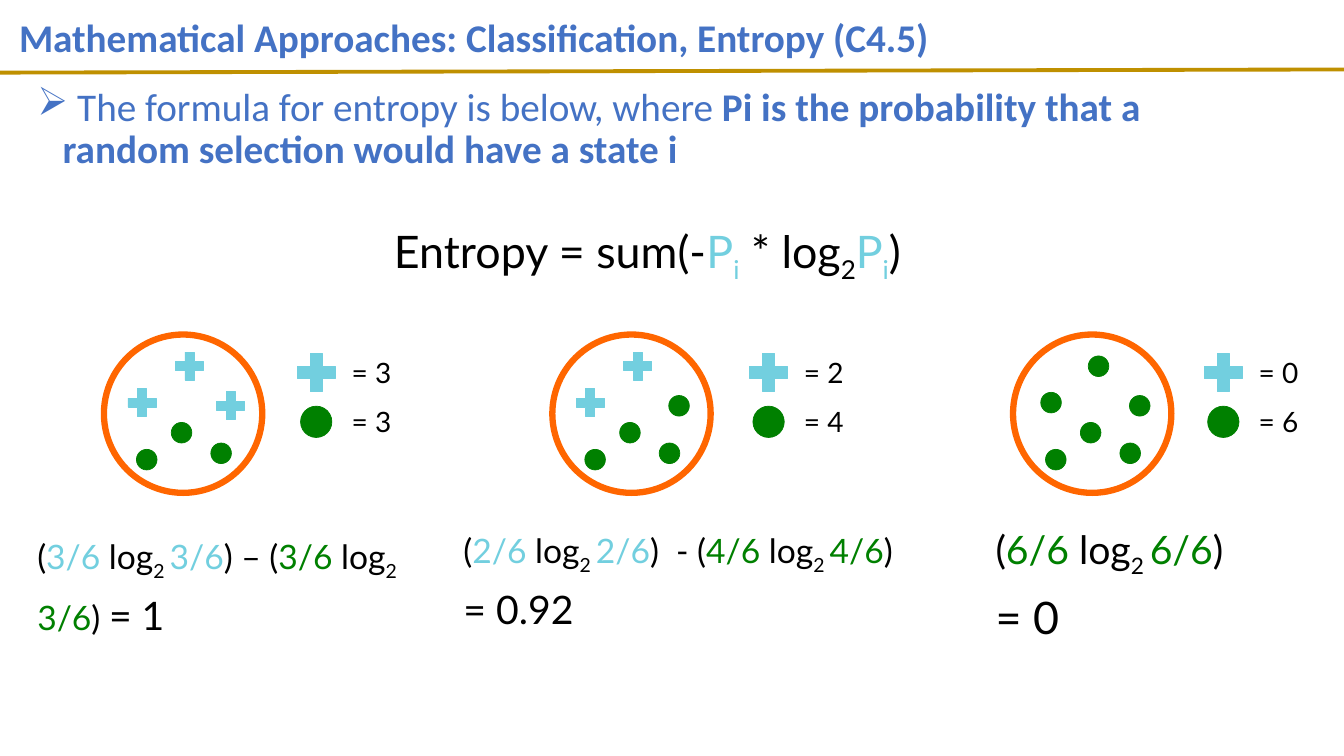
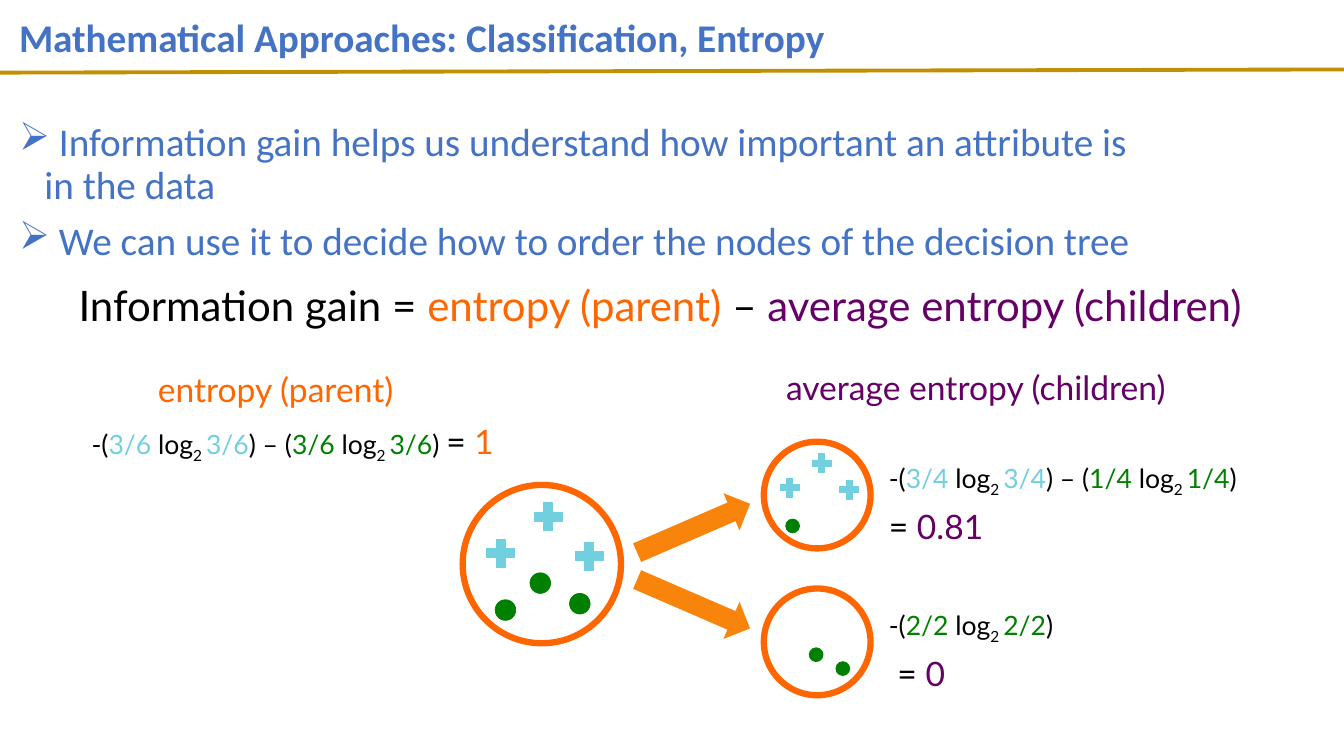
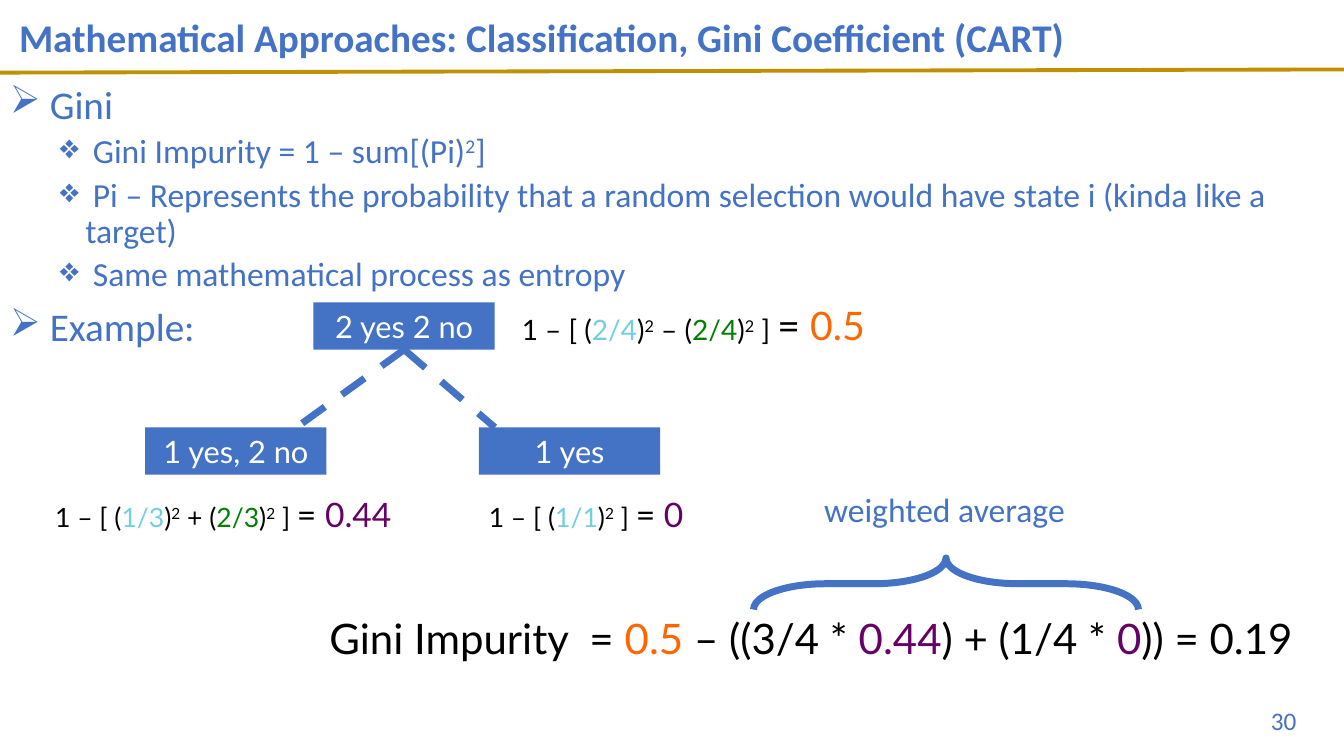
from dataclasses import dataclass

import pptx
import pptx.dml.color
import pptx.enum.dml
import pptx.enum.shapes
import pptx.enum.text
import pptx.oxml.ns
import pptx.util
from lxml import etree
from pptx.dml.color import RGBColor
from pptx.enum.shapes import MSO_SHAPE
from pptx.enum.text import MSO_ANCHOR, PP_ALIGN
from pptx.util import Cm, Pt

BLUE = RGBColor(0x44, 0x72, 0xC4)
GOLD = RGBColor(0xBF, 0x90, 0x00)
CYAN = RGBColor(0x72, 0xCF, 0xDF)
GREEN = RGBColor(0x00, 0x80, 0x00)
ORANGE = RGBColor(0xFF, 0x66, 0x00)
ARROW_ORANGE = RGBColor(0xF9, 0x84, 0x0C)
PURPLE = RGBColor(0x66, 0x00, 0x66)
BLACK = RGBColor(0x00, 0x00, 0x00)
WHITE = RGBColor(0xFF, 0xFF, 0xFF)

HEADING_FONT = "Calibri"
FORMULA_FONT = "Lato"
SLIDE_WIDTH, SLIDE_HEIGHT = 33.87, 19.05


@dataclass
class Run:
    """Text that differs from its paragraph; baseline is in percent."""
    text: str
    color: RGBColor = None
    size: float = None
    baseline: int = 0
    bold: bool = None


SUB_2 = Run("2 ", baseline=-25)
SQUARE = Run("2", baseline=30)


def log_term(share, color):
    return [Run(share, color), " log", SUB_2, Run(share, color)]


def squared(share, color):
    return ["(", Run(share, color), ")", SQUARE]


def probability():
    return [Run("P", CYAN), Run("i", CYAN, baseline=-25)]


# ---------- Content: lengths in cm, boxes as left, top, width, height ----------

# Places of the six items in a set, as shares of its diameter
ITEM_PLACES = [(0.24, 0.43), (0.54, 0.2), (0.8, 0.45),
               (0.49, 0.62), (0.74, 0.75), (0.27, 0.79)]
ITEM_STYLES = {"+": (MSO_SHAPE.MATH_PLUS, CYAN, 0.24),
               "o": (MSO_SHAPE.OVAL, GREEN, 0.13)}
LARGE_SET, SMALL_SET = 3.99, 2.69

# Bullet mark, left margin, space before, text size
BULLET_LEVELS = [("➢", 0.64, 10, 28), ("❖", 1.9, 5, 24)]
BULLET_HANGING = 0.64

ENTROPY = {
    "title": "Mathematical Approaches: Classification, Entropy (C4.5)",
    "body_box": (0.69, 2.08, 29.21, 2.46),
    "body": [(0, [" The formula for entropy is below, where ",
                  Run("Pi is the probability that a random selection "
                      "would have a state i", bold=True)])],
    "formula_box": (9.68, 5.51, 15.39, 1.63),
    "formula": ["Entropy = sum(-", *probability(), " * log",
                Run("2", baseline=-25), *probability(), ")"],
    "set_top": 8.43,
    "sets": [
        {"left": 2.62, "items": "+++ooo", "legend_left": 7.32,
         "box": (0.69, 13.16, 10.92, 2.92), "size": 24,
         "result": [["(", *log_term("3/6", CYAN), ") – (",
                     *log_term("3/6", GREEN), ") ", Run("= 1", size=28)]]},
        {"left": 13.92, "items": "++oooo", "legend_left": 18.72,
         "box": (11.43, 13, 12.22, 2.79), "size": 24,
         "result": [["(", *log_term("2/6", CYAN), ")  - (",
                     *log_term("4/6", GREEN), ")"],
                    [Run("= 0.92", size=28)]]},
        {"left": 25.53, "items": "oooooo", "legend_left": 30.18,
         "box": (24.84, 12.85, 7.19, 3.38), "size": 28,
         "result": [["(", *log_term("6/6", GREEN), ")"],
                    [Run("= 0", size=32)]]},
    ],
    # Item kind, size and vertical centre
    "legend": [("+", 1.3, 9.39), ("o", 0.79, 10.63)],
}

GAIN = {
    "title": "Mathematical Approaches: Classification, Entropy",
    "body_box": (0.23, 2.97, 29.21, 12.09),
    "body": [
        (0, [" Information gain helps us understand how important "
             "an attribute is in the data"]),
        (0, [" We can use it to decide how to order the nodes "
             "of the decision tree"]),
    ],
    "formula_box": (1.73, 6.91, 32.49, 1.55),
    "formula": ["Information gain = ", Run("entropy (parent) ", ORANGE), "– ",
                Run("average entropy (children)", PURPLE)],
    "headings": [("entropy (parent)", ORANGE, (3.73, 9.17, 6.83, 1.27)),
                 ("average entropy (children)", PURPLE,
                  (19.56, 9.12, 10.52, 1.27))],
    "sets": [(11.66, 12.22, LARGE_SET, "+++ooo"),
             (19.25, 11.13, SMALL_SET, "+++  o"),
             (19.25, 14.83, SMALL_SET, "   oo ")],
    "results": [
        ((2.06, 10.26, 10.69, 1.5),
         [["-(", *log_term("3/6", CYAN), ") – (", *log_term("3/6", GREEN),
           ") ", Run("= ", size=24), Run("1", ORANGE, 24)]]),
        ((22.15, 11.33, 9.58, 2.46),
         [["-(", *log_term("3/4", CYAN), ") – (", *log_term("1/4", GREEN), ")"],
          [Run("= ", size=24), Run("0.81", PURPLE, 24)]]),
        ((22.15, 15.04, 4.93, 2.46),
         [["-(", *log_term("2/2", GREEN), ")"],
          [Run(" = ", size=24), Run("0", PURPLE, 24)]]),
    ],
    "arrows": [((15.93, 12.8, 3.1, 1.02), -23.4),
               ((15.93, 14.71, 3.1, 1.02), 23.4)],
}

GINI = {
    "title": "Mathematical Approaches: Classification, Gini Coefficient (CART)",
    "body_box": (0, 2.03, 33.22, 13.94),
    "body": [
        (0, [" Gini"]),
        (1, [" Gini Impurity = 1 – sum[(Pi)", SQUARE, "]"]),
        (1, [" Pi – Represents the probability that a random selection "
             "would have state i (kinda like a target)"]),
        (1, [" Same mathematical process as entropy"]),
        (0, [" Example:"]),
    ],
    "page": "30",
    "page_box": (25.3, 17.65, 7.62, 1.02),
    "node_size": (4.57, 1.19),
    "nodes": [("2 yes 2 no", 7.9, 7.62), ("1 yes, 2 no", 3.66, 10.77),
              ("1 yes", 12.07, 10.77)],
    "branch_ends": [(7.47, 10.77), (12.47, 10.77)],
    "results": [
        ((12.9, 7.24, 11.96, 1.55), 20,
         ["1 – [ ", *squared("2/4", CYAN), " – ", *squared("2/4", GREEN), " ] ",
          Run("= ", size=28), Run("0.5", ORANGE, 28)]),
        ((1.14, 12.12, 9.58, 1.5), 19,
         ["1 – [ ", *squared("1/3", CYAN), " + ", *squared("2/3", GREEN), " ] ",
          Run("= ", size=24), Run("0.44", PURPLE, 24)]),
        ((12.07, 12.12, 5.49, 1.5), 19,
         ["1 – [ ", *squared("1/1", CYAN), " ] ",
          Run("= ", size=24), Run("0", PURPLE, 24)]),
    ],
    "formula_box": (8.05, 15.32, 26.21, 1.55),
    "formula": ["Gini Impurity  = ", Run("0.5 ", ORANGE), "– ((3/4 * ",
                Run("0.44", PURPLE), ") + (1/4 * ", Run("0", PURPLE),
                ")) = 0.19"],
    "brace_label": "weighted average",
    "brace_label_box": (20.52, 12.19, 6.63, 1.27),
    "brace_box": (23.19, 9.86, 1.3, 9.7),
}


# ---------- Drawing ----------

def cm(*lengths):
    return [Cm(length) for length in lengths]


def fill_paragraph(paragraph, runs, size, color=BLACK, font=FORMULA_FONT):
    paragraph.font.name = font
    paragraph.font.size = Pt(size)
    paragraph.font.color.rgb = color
    for part in runs:
        part = part if isinstance(part, Run) else Run(part)
        run = paragraph.add_run()
        run.text = part.text
        if part.color is not None:
            run.font.color.rgb = part.color
        if part.size:
            run.font.size = Pt(part.size)
        if part.bold:
            run.font.bold = True
        if part.baseline:
            run._r.get_or_add_rPr().set("baseline", str(part.baseline * 1000))


def add_frame(slide, box):
    frame = slide.shapes.add_textbox(*cm(*box)).text_frame
    frame.auto_size = pptx.enum.text.MSO_AUTO_SIZE.NONE
    frame.word_wrap = True
    return frame


def each_paragraph(frame, items):
    """Yield a new paragraph of the frame together with each item."""
    for index, item in enumerate(items):
        yield (frame.add_paragraph() if index else frame.paragraphs[0]), item


def add_text(slide, box, lines, size, color=BLACK, font=FORMULA_FONT,
             line_spacing=None):
    frame = add_frame(slide, box)
    for paragraph, runs in each_paragraph(frame, lines):
        paragraph.line_spacing = line_spacing
        fill_paragraph(paragraph, runs, size, color, font)
    return frame


def add_body(slide, box, items):
    for paragraph, (level, runs) in each_paragraph(add_frame(slide, box), items):
        mark, margin, before, size = BULLET_LEVELS[level]
        paragraph.level = level
        paragraph.line_spacing = 0.9
        paragraph.space_before = Pt(before)
        properties = paragraph._p.get_or_add_pPr()
        properties.set("marL", str(Cm(margin)))
        properties.set("indent", str(-Cm(BULLET_HANGING)))
        bullet = etree.SubElement(properties, pptx.oxml.ns.qn("a:buChar"))
        bullet.set("char", mark)
        fill_paragraph(paragraph, runs, size, BLUE, HEADING_FONT)


def add_shape(slide, kind, box, fill=None, line=None, line_width=0.5):
    shape = slide.shapes.add_shape(kind, *cm(*box))
    shape.shadow.inherit = False
    if fill is None:
        shape.fill.background()
    else:
        shape.fill.solid()
        shape.fill.fore_color.rgb = fill
    if line is None:
        shape.line.fill.background()
    else:
        shape.line.color.rgb = line
        shape.line.width = Pt(line_width)
    return shape


def add_line(slide, start, end, color, width):
    line = slide.shapes.add_connector(
        pptx.enum.shapes.MSO_CONNECTOR.STRAIGHT, *cm(*start, *end))
    line.line.color.rgb = color
    line.line.width = Pt(width)
    etree.SubElement(line._element.spPr, pptx.oxml.ns.qn("a:effectLst"))
    return line


def add_item(slide, kind, center_x, center_y, size):
    preset, color, _ = ITEM_STYLES[kind]
    add_shape(slide, preset,
              (center_x - size / 2, center_y - size / 2, size, size),
              color, color)


def add_set(slide, left, top, diameter, items):
    """Draw a ring with one item, or a space for none, at each place."""
    add_shape(slide, MSO_SHAPE.OVAL, (left, top, diameter, diameter),
              line=ORANGE, line_width=4.5)
    for kind, (x, y) in zip(items, ITEM_PLACES):
        if kind in ITEM_STYLES:
            add_item(slide, kind, left + x * diameter, top + y * diameter,
                     ITEM_STYLES[kind][2] * diameter)


def new_slide(deck, content):
    """Add a slide with the shared rule, title, bullets and formula."""
    slide = deck.slides.add_slide(deck.slide_layouts[6])
    add_line(slide, (0, 1.83), (SLIDE_WIDTH, 1.75), GOLD, 2.75)
    title = add_text(slide, (0.23, 0, 29.21, 2.03), [[content["title"]]], 28,
                     BLUE, HEADING_FONT, 0.9)
    title.vertical_anchor = MSO_ANCHOR.MIDDLE
    title.paragraphs[0].font.bold = True
    add_body(slide, content["body_box"], content["body"])
    formula_size = 32 if content is ENTROPY else 30
    add_text(slide, content["formula_box"], [content["formula"]], formula_size)
    return slide


def build_entropy(deck):
    slide = new_slide(deck, ENTROPY)
    for group in ENTROPY["sets"]:
        add_set(slide, group["left"], ENTROPY["set_top"], LARGE_SET,
                group["items"])
        legend_left = group["legend_left"]
        for kind, size, center_y in ENTROPY["legend"]:
            add_item(slide, kind, legend_left + 0.65, center_y, size)
            add_text(slide, (legend_left + 1.11, center_y - 0.56, 2.11, 1.12),
                     [[f" = {group['items'].count(kind)}"]], 20)
        add_text(slide, group["box"], group["result"], group["size"],
                 line_spacing=1.2)


def build_gain(deck):
    slide = new_slide(deck, GAIN)
    for heading, color, box in GAIN["headings"]:
        add_text(slide, box, [[heading]], 24, color)
    for left, top, diameter, items in GAIN["sets"]:
        add_set(slide, left, top, diameter, items)
    for box, lines in GAIN["results"]:
        add_text(slide, box, lines, 19, line_spacing=1.2)
    for box, angle in GAIN["arrows"]:
        arrow = add_shape(slide, MSO_SHAPE.RIGHT_ARROW, box, ARROW_ORANGE)
        arrow.rotation = angle


def add_node(slide, label, left, top):
    node = add_shape(slide, MSO_SHAPE.RECTANGLE,
                     (left, top, *GINI["node_size"]), BLUE)
    frame = node.text_frame
    frame.margin_left = frame.margin_right = Cm(0.13)
    frame.margin_top = frame.margin_bottom = Cm(0.13)
    frame.vertical_anchor = MSO_ANCHOR.MIDDLE
    frame.paragraphs[0].alignment = PP_ALIGN.CENTER
    fill_paragraph(frame.paragraphs[0], [label], 22, WHITE)
    return node


def build_gini(deck):
    slide = new_slide(deck, GINI)
    root, *_ = [add_node(slide, *node) for node in GINI["nodes"]]
    for end in GINI["branch_ends"]:
        branch = add_line(slide, (0, 0), end, BLUE, 5)
        branch.line.dash_style = pptx.enum.dml.MSO_LINE.DASH
        branch.begin_connect(root, 2)
    for box, size, runs in GINI["results"]:
        add_text(slide, box, [runs], size, line_spacing=1.2)
    add_text(slide, GINI["brace_label_box"], [[GINI["brace_label"]]], 24,
             BLUE, HEADING_FONT)
    brace = add_shape(slide, MSO_SHAPE.LEFT_BRACE, GINI["brace_box"],
                      line=BLUE, line_width=5)
    brace.adjustments[0] = 1.4
    brace.adjustments[1] = 0.5
    brace.rotation = 90
    page = add_text(slide, GINI["page_box"], [[GINI["page"]]], 18, BLUE,
                    HEADING_FONT)
    page.paragraphs[0].alignment = PP_ALIGN.RIGHT


def main():
    deck = pptx.Presentation()
    deck.slide_width, deck.slide_height = cm(SLIDE_WIDTH, SLIDE_HEIGHT)
    build_entropy(deck)
    build_gain(deck)
    build_gini(deck)
    deck.save("out.pptx")


if __name__ == "__main__":
    main()
